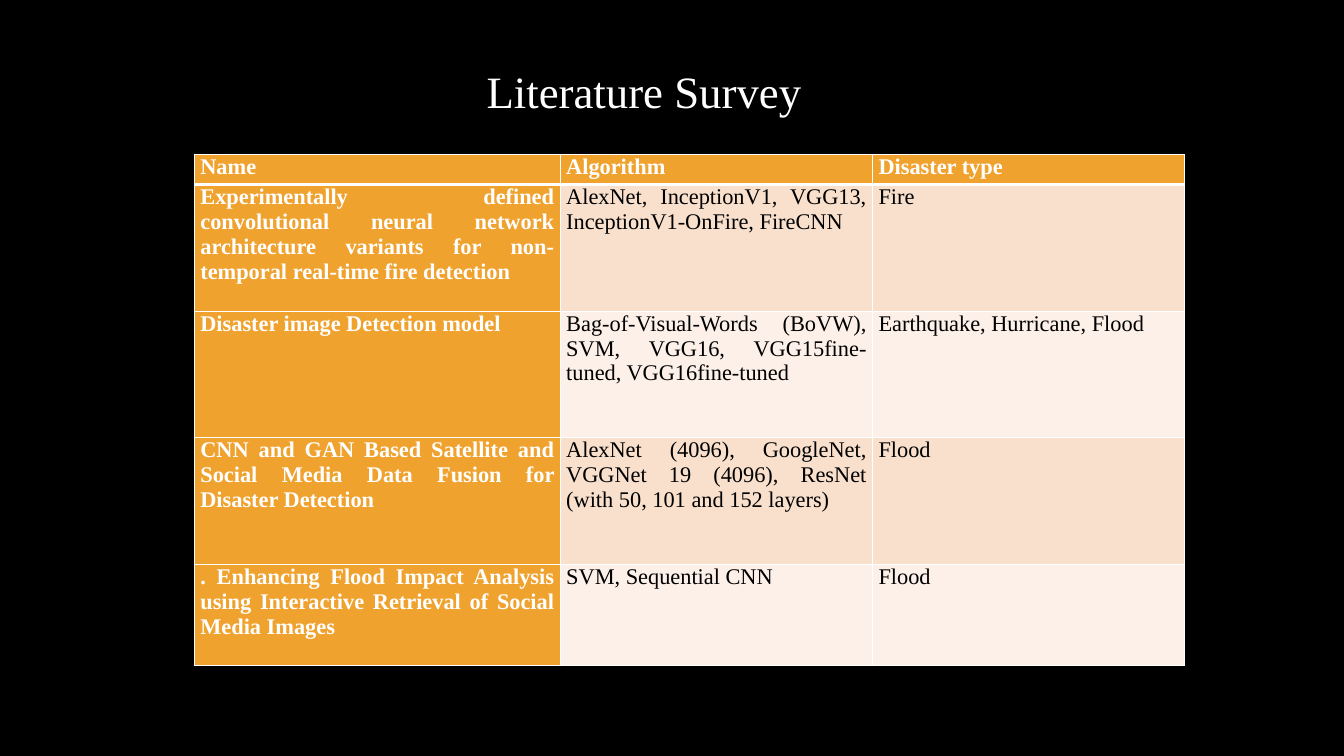
import pptx
import pptx.dml.color
import pptx.enum.text
import pptx.oxml
import pptx.oxml.ns
import pptx.util
from pptx.util import Cm, Pt

FONT = "Times New Roman"
WHITE, BLACK, ORANGE = "FFFFFF", "000000", "F0A22E"
BANDS = ["F9E0CD", "FCF0E8"]
COLUMN_WIDTHS = [9.22, 7.87, 7.87]
ROW_HEIGHTS = [0.76, 3.19, 3.19, 3.19, 2.54]
SURVEY = [
    ["Name", "Algorithm", "Disaster type"],
    ["Experimentally defined convolutional neural network architecture "
     "variants for non-temporal real-time fire detection",
     "AlexNet, InceptionV1, VGG13, InceptionV1-OnFire, FireCNN", "Fire"],
    ["Disaster image Detection model",
     "Bag-of-Visual-Words (BoVW), SVM, VGG16, VGG15fine-tuned, VGG16fine-tuned",
     "Earthquake, Hurricane, Flood"],
    ["CNN and GAN Based Satellite and Social Media Data Fusion for "
     "Disaster Detection",
     "AlexNet (4096), GoogleNet, VGGNet 19 (4096), ResNet "
     "(with 50, 101 and 152 layers)", "Flood"],
    [". Enhancing Flood Impact Analysis using Interactive Retrieval of "
     "Social Media Images", "SVM, Sequential CNN", "Flood"],
]


def rgb(color):
    return pptx.dml.color.RGBColor.from_string(color)


def set_fill(fill, color):
    fill.solid()
    fill.fore_color.rgb = rgb(color)


def set_font(p, size, color, bold=False):
    p.font.name = FONT
    p.font.size = Pt(size)
    p.font.bold = bold
    p.font.color.rgb = rgb(color)


def set_borders(cell, top, bottom):
    """Draw white cell borders; they must precede the fill in the XML."""
    tc_pr = cell._tc.get_or_add_tcPr()
    widths = {"L": 1, "R": 1, "T": top, "B": bottom}
    for i, (side, width) in enumerate(widths.items()):
        line = pptx.oxml.parse_xml(
            f'<a:ln{side} {pptx.oxml.ns.nsdecls("a")} w="{Pt(width)}">'
            f'<a:solidFill><a:srgbClr val="{WHITE}"/></a:solidFill></a:ln{side}>')
        tc_pr.insert(i, line)


def add_title(s, text):
    title = s.shapes.title
    title.left, title.top = Cm(12.01), Cm(1.47)
    title.width, title.height = Cm(15.6), Cm(1.63)
    tf = title.text_frame
    tf.text = text
    tf.word_wrap = True
    tf.auto_size = pptx.enum.text.MSO_AUTO_SIZE.NONE
    tf.vertical_anchor = pptx.enum.text.MSO_ANCHOR.TOP
    p = tf.paragraphs[0]
    p.alignment = pptx.enum.text.PP_ALIGN.LEFT
    set_font(p, 32, WHITE)


def fill_cell(cell, text, row, col):
    accent = row == 0 or col == 0
    cell.margin_left = cell.margin_right = Cm(0.15)
    cell.margin_top = cell.margin_bottom = 0
    set_fill(cell.fill, ORANGE if accent else BANDS[(row - 1) % 2])
    set_borders(cell, top=3 if row == 1 else 1, bottom=3 if row == 0 else 1)
    cell.text = text
    p = cell.text_frame.paragraphs[0]
    p.alignment = pptx.enum.text.PP_ALIGN.JUSTIFY
    p.space_before = p.space_after = Pt(6)
    set_font(p, 16, WHITE if accent else BLACK, bold=accent)


def add_survey_table(s):
    table = s.shapes.add_table(
        len(ROW_HEIGHTS), len(COLUMN_WIDTHS), Cm(4.9), Cm(3.89),
        Cm(sum(COLUMN_WIDTHS)), Cm(sum(ROW_HEIGHTS))).table
    table.first_col = True
    for column, width in zip(table.columns, COLUMN_WIDTHS):
        column.width = Cm(width)
    for row, height in zip(table.rows, ROW_HEIGHTS):
        row.height = Cm(height)
    for row, texts in enumerate(SURVEY):
        for col, text in enumerate(texts):
            fill_cell(table.cell(row, col), text, row, col)


def main():
    prs = pptx.Presentation()
    prs.slide_width, prs.slide_height = Cm(33.87), Cm(19.05)

    # Black slide with a title
    s = prs.slides.add_slide(prs.slide_layouts[5])
    set_fill(s.background.fill, BLACK)
    add_title(s, "Literature Survey")

    # Surveyed papers
    add_survey_table(s)
    prs.save("out.pptx")


if __name__ == "__main__":
    main()
